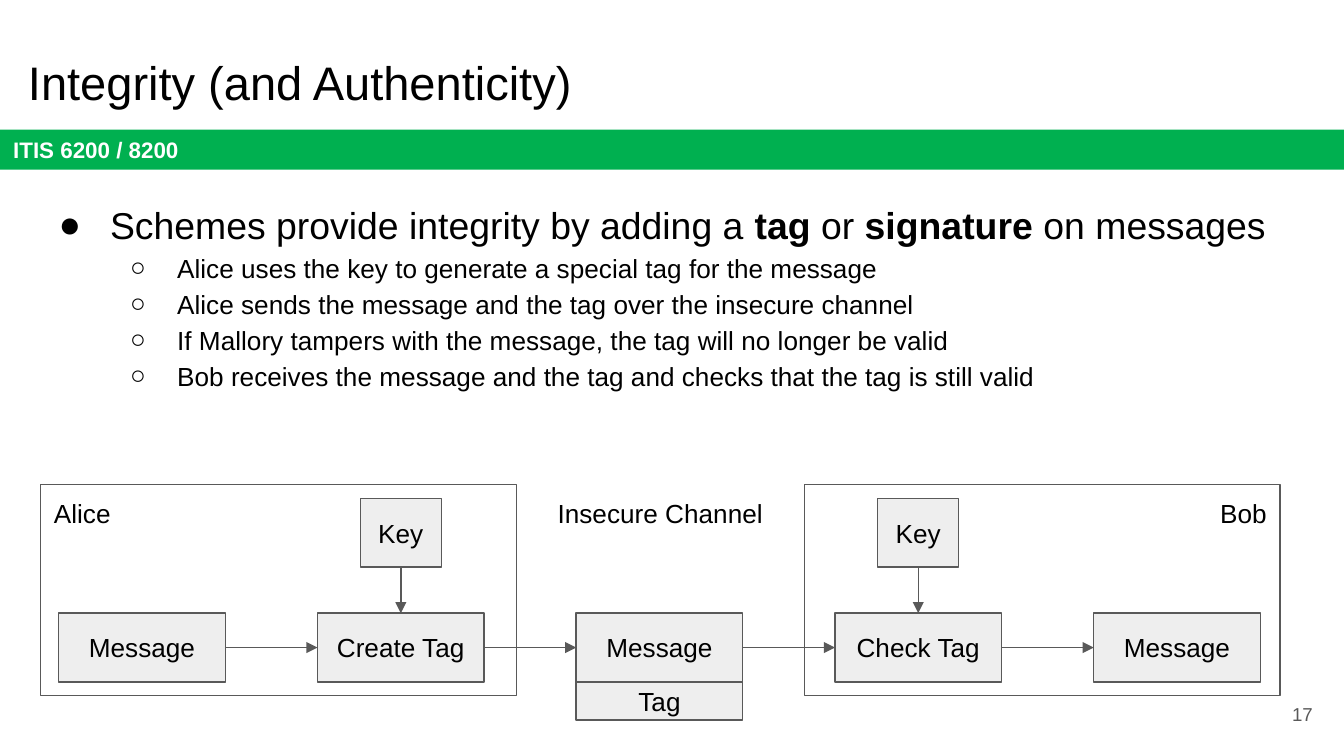
from lxml import etree
from pptx import Presentation
from pptx.dml.color import RGBColor
from pptx.enum.shapes import MSO_CONNECTOR, MSO_SHAPE
from pptx.enum.text import MSO_ANCHOR, PP_ALIGN
from pptx.oxml.ns import qn
from pptx.util import Cm, Pt

BLACK = RGBColor(0x00, 0x00, 0x00)
WHITE = RGBColor(0xFF, 0xFF, 0xFF)
GREEN = RGBColor(0x00, 0xB0, 0x50)
GREY = RGBColor(0x59, 0x59, 0x59)
LIGHT = RGBColor(0xEE, 0xEE, 0xEE)

LEFT, CENTER, RIGHT = PP_ALIGN.LEFT, PP_ALIGN.CENTER, PP_ALIGN.RIGHT
TOP, MIDDLE = MSO_ANCHOR.TOP, MSO_ANCHOR.MIDDLE


class SlideBuilder:
    font = "Arial"
    inset = Cm(0.25)
    line_width = Pt(0.75)

    def __init__(self, slide):
        self.slide = slide

    def frame(self, sp, anchor):
        tf = sp.text_frame
        fmt = {"word_wrap": True, "vertical_anchor": anchor}
        for side in ("left", "top", "right", "bottom"):
            fmt[f"margin_{side}"] = self.inset
        for name, value in fmt.items():
            setattr(tf, name, value)
        return tf

    def run(self, p, text, size=14, color=BLACK, bold=False):
        r = p.add_run()
        r.text = text
        fmt = {"name": self.font, "size": Pt(size), "bold": bold}
        for name, value in fmt.items():
            setattr(r.font, name, value)
        r.font.color.rgb = color

    def fill_text(self, sp, text, align, anchor, **style):
        p = self.frame(sp, anchor).paragraphs[0]
        p.alignment = align
        self.run(p, text, **style)

    def text(self, box, text, align=LEFT, anchor=TOP, **style):
        sp = self.slide.shapes.add_textbox(*map(Cm, box))
        self.fill_text(sp, text, align, anchor, **style)

    def rect(self, box, text="", fill=None, line=GREY, align=CENTER, **style):
        sp = self.slide.shapes.add_shape(MSO_SHAPE.RECTANGLE, *map(Cm, box))
        sp.shadow.inherit = False
        if fill is None:
            sp.fill.background()
        else:
            sp.fill.solid()
            sp.fill.fore_color.rgb = fill
        if line is None:
            sp.line.fill.background()
        else:
            sp.line.color.rgb = line
            sp.line.width = self.line_width
        if text:
            self.fill_text(sp, text, align, MIDDLE, **style)

    def arrow(self, x1, y1, x2, y2):
        cx = self.slide.shapes.add_connector(
            MSO_CONNECTOR.STRAIGHT, *map(Cm, (x1, y1, x2, y2)))
        cx.line.color.rgb = GREY
        cx.line.width = self.line_width
        etree.SubElement(cx.get_or_add_ln(), qn("a:tailEnd"), type="triangle")
        etree.SubElement(cx._element.spPr, qn("a:effectLst"))

    def bullets(self, box, items):
        sp = self.slide.shapes.add_textbox(*map(Cm, box))
        tf = self.frame(sp, TOP)
        levels = [("●", 1.27, -0.97, 20), ("○", 2.54, -0.89, 14)]
        for i, (level, parts) in enumerate(items):
            char, margin, indent, size = levels[level]
            p = tf.add_paragraph() if i else tf.paragraphs[0]
            p.level = level
            pPr = p._p.get_or_add_pPr()
            pPr.set("marL", str(Cm(margin)))
            pPr.set("indent", str(Cm(indent)))
            clr = etree.SubElement(pPr, qn("a:buClr"))
            etree.SubElement(clr, qn("a:srgbClr"), val=str(BLACK))
            etree.SubElement(pPr, qn("a:buFont"), typeface=self.font)
            etree.SubElement(pPr, qn("a:buChar"), char=char)
            p.line_spacing = 1.15
            for text, bold in parts:
                self.run(p, text, size=size, bold=bold)


def main():
    prs = Presentation()
    prs.slide_width, prs.slide_height = Cm(25.4), Cm(14.29)
    s = SlideBuilder(prs.slides.add_slide(prs.slide_layouts[6]))

    # Course banner and title
    s.rect((0, 2.45, 25.4, 0.76), "ITIS 6200 / 8200", GREEN, None, LEFT,
           size=12, color=WHITE, bold=True)
    s.text((0.28, 0.76, 23.67, 1.6), "Integrity (and Authenticity)", size=25.2)

    # Explanation
    s.bullets((0.56, 3.45, 23.67, 4.65), [
        (0, [("Schemes provide integrity by adding a ", False), ("tag", True),
             (" or ", False), ("signature", True), (" on messages", False)]),
        (1, [("Alice uses the key to generate a special tag for the message", False)]),
        (1, [("Alice sends the message and the tag over the insecure channel", False)]),
        (1, [("If Mallory tampers with the message, the tag will no longer be valid", False)]),
        (1, [("Bob receives the message and the tag and checks that the tag is still valid", False)]),
    ])

    # Areas of Alice and Bob
    area_y, area_w, alice_x, bob_x = 9.16, 8.99, 0.77, 15.2
    for x in (alice_x, bob_x):
        s.rect((x, area_y, area_w, 3.99))
    label_w, label_h = 2.13, 1.12
    channel_x = alice_x + area_w
    s.text((alice_x, area_y, label_w, label_h), "Alice")
    s.text((channel_x, area_y, bob_x - channel_x, label_h), "Insecure Channel", CENTER)
    s.text((bob_x + area_w - label_w, area_y, label_w, label_h), "Bob", RIGHT)

    # Row of steps, each joined to the one before
    step_x, step_y, step_w, step_h, pitch = 1.11, 11.59, 3.15, 1.3, 4.89
    steps = ["Message", "Create Tag", "Message", "Check Tag", "Message"]
    lefts = [step_x + i * pitch for i in range(len(steps))]
    mid_y = step_y + step_h / 2
    for i, (x, name) in enumerate(zip(lefts, steps)):
        s.rect((x, step_y, step_w, step_h), name, LIGHT)
        if i:
            s.arrow(lefts[i - 1] + step_w, mid_y, x, mid_y)

    # Keys above the tag steps, and the tag under the sent message
    key_y, key_w = 9.42, 1.53
    for x in (lefts[1], lefts[3]):
        mid_x = x + step_w / 2
        s.rect((mid_x - key_w / 2, key_y, key_w, step_h), "Key", LIGHT)
        s.arrow(mid_x, key_y + step_h, mid_x, step_y)
    s.rect((lefts[2], step_y + step_h, step_w, 0.72), "Tag", LIGHT)

    # Page number
    s.text((23.54, 12.95, 1.52, 1.09), "17", RIGHT, MIDDLE, size=10, color=GREY)

    prs.save("out.pptx")


if __name__ == "__main__":
    main()
